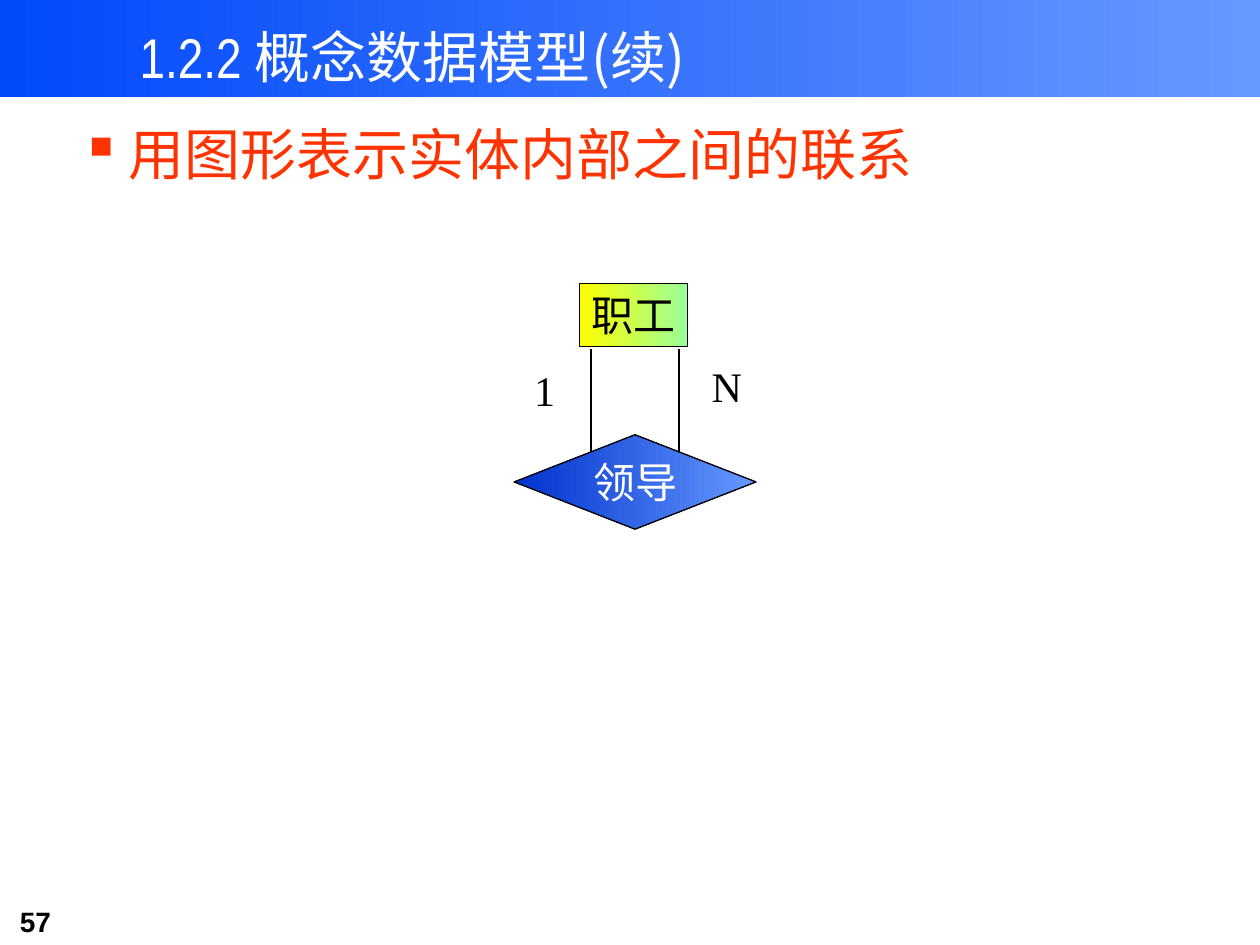
from lxml.etree import SubElement
from pptx import Presentation
from pptx.dml.color import RGBColor
from pptx.enum.shapes import MSO_CONNECTOR as Connector, MSO_SHAPE as Shape
from pptx.enum.text import MSO_ANCHOR as Anchor, PP_ALIGN as Align
from pptx.oxml.ns import qn
from pptx.util import Inches, Pt

COLOURS = {
    "black": "000000", "white": "FFFFFF", "red": "FF3300",
    "band_start": "0249FA", "navy": "0033CC", "sky": "6699FF",
    "yellow": "FFFF00", "mint": "99FF99",
}
SERIF = "Times New Roman"
HAN = "Noto Sans CJK SC"


def add_gradient(kind, place, start, end, outlined=True):
    shape = page.shapes.add_shape(kind, *map(Inches, place))
    shape.shadow.inherit = False
    shape.fill.gradient()
    shape.fill.gradient_angle = 0
    for stop, name in zip(shape.fill.gradient_stops, (start, end)):
        stop.color.rgb = RGBColor.from_string(COLOURS[name])
    if outlined:
        shape.line.color.rgb = RGBColor.from_string(COLOURS["black"])
        shape.line.width = Pt(0.75)
    else:
        shape.line.fill.background()
    return shape


def write(box, parts, size, colour, wrap=False, align=Align.LEFT, anchor=Anchor.TOP):
    frame = box.text_frame
    frame.word_wrap = wrap
    frame.vertical_anchor = anchor
    para = frame.paragraphs[0]
    para.alignment = align
    for text, font in parts:
        span = para.add_run()
        span.text = text
        span.font.size = Pt(size)
        span.font.name = font
        span.font.color.rgb = RGBColor.from_string(COLOURS[colour])
        SubElement(span.font._element, qn("a:ea"), typeface=HAN)
    return para


deck = Presentation()
deck.slide_width = Inches(10)
deck.slide_height = Inches(7.5)
page = deck.slides.add_slide(deck.slide_layouts[6])

add_gradient(Shape.RECTANGLE, (0, 0, 10, 0.77), "band_start", "sky", outlined=False)

number = page.shapes.add_textbox(Inches(0.06), Inches(7.13), Inches(1.22), Inches(0.37))
para = write(number, [("57", "Arial")], 16, "black", wrap=True)
para.runs[0].font.bold = True

title = page.shapes.add_textbox(Inches(1.01), Inches(-0.14), Inches(6.67), Inches(0.9))
para = write(title, [("1.2.2 ", "Arial Narrow"), ("概念数据模型(续)", HAN)], 32, "white", wrap=True)
para.line_spacing = 1.5

entity = add_gradient(Shape.RECTANGLE, (4.6, 2.25, 0.86, 0.5), "yellow", "mint")
write(entity, [("职工", SERIF)], 24, "black")

relation = add_gradient(Shape.FLOWCHART_DECISION, (4.08, 3.45, 1.92, 0.75), "navy", "sky")
write(relation, [("领导", SERIF)], 24, "white", align=Align.CENTER, anchor=Anchor.MIDDLE)

for line_x, label, left, top, width in (
    (4.69, "1", 4.14, 2.84, 0.36),
    (5.39, "N", 5.55, 2.81, 0.44),
):
    link = page.shapes.add_connector(
        Connector.STRAIGHT, Inches(line_x), Inches(2.77), Inches(line_x), Inches(3.59))
    link.line.color.rgb = RGBColor.from_string(COLOURS["black"])
    link.line.width = Pt(0.75)
    SubElement(link._element.spPr, qn("a:effectLst"))
    box = page.shapes.add_textbox(Inches(left), Inches(top), Inches(width), Inches(0.5))
    write(box, [(label, SERIF)], 24, "black")

body = page.shapes.add_textbox(Inches(0.54), Inches(0.9), Inches(7.79), Inches(0.68))
para = write(body, [("用图形表示实体内部之间的联系", SERIF)], 32, "red", wrap=True)
properties = para._p.get_or_add_pPr()
properties.set("marL", str(Inches(0.38)))
properties.set("indent", str(Inches(-0.38)))
bullet_colour = SubElement(properties, qn("a:buClr"))
SubElement(bullet_colour, qn("a:srgbClr"), val=COLOURS["red"])
SubElement(properties, qn("a:buChar"), char="▪")

deck.save("out.pptx")
